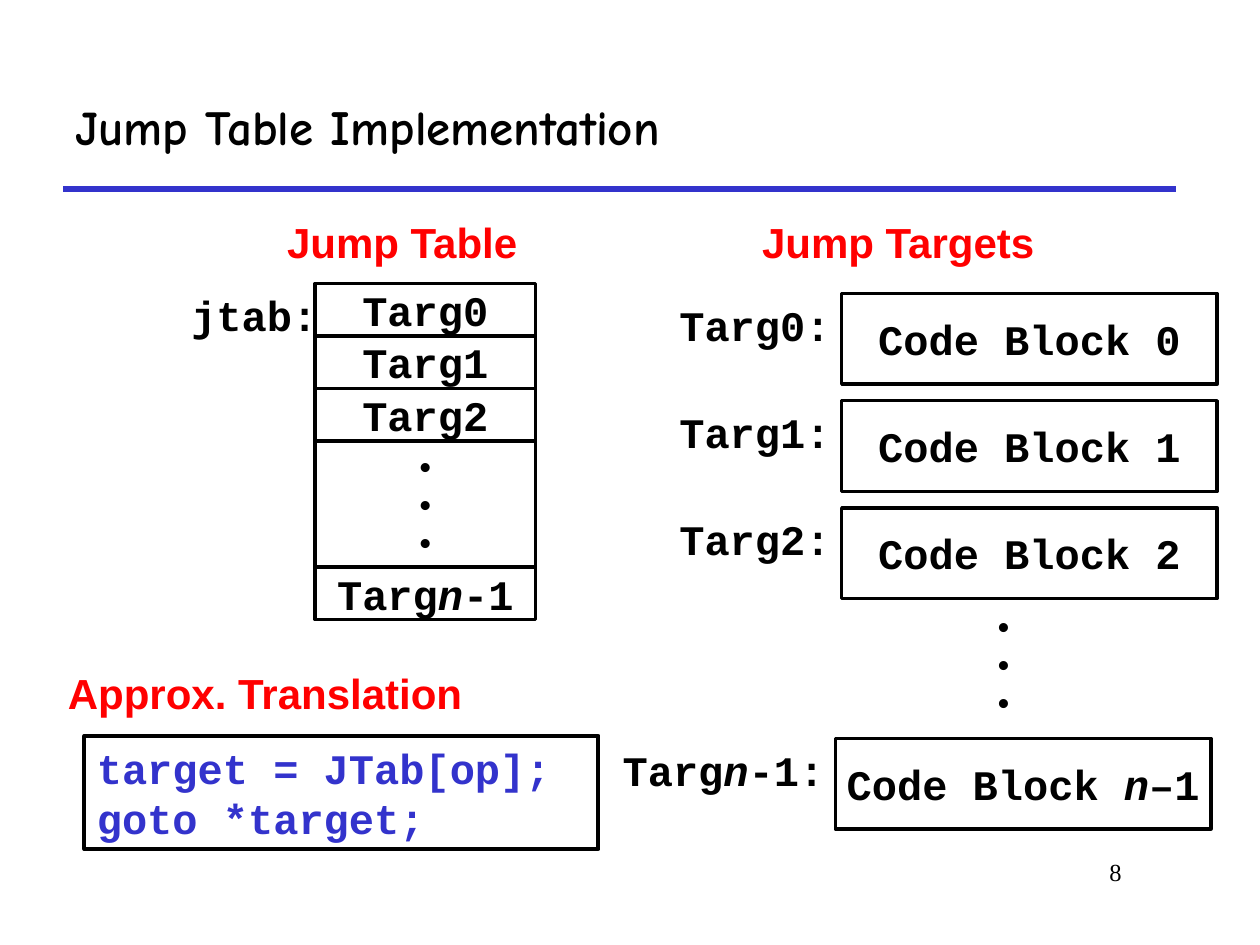
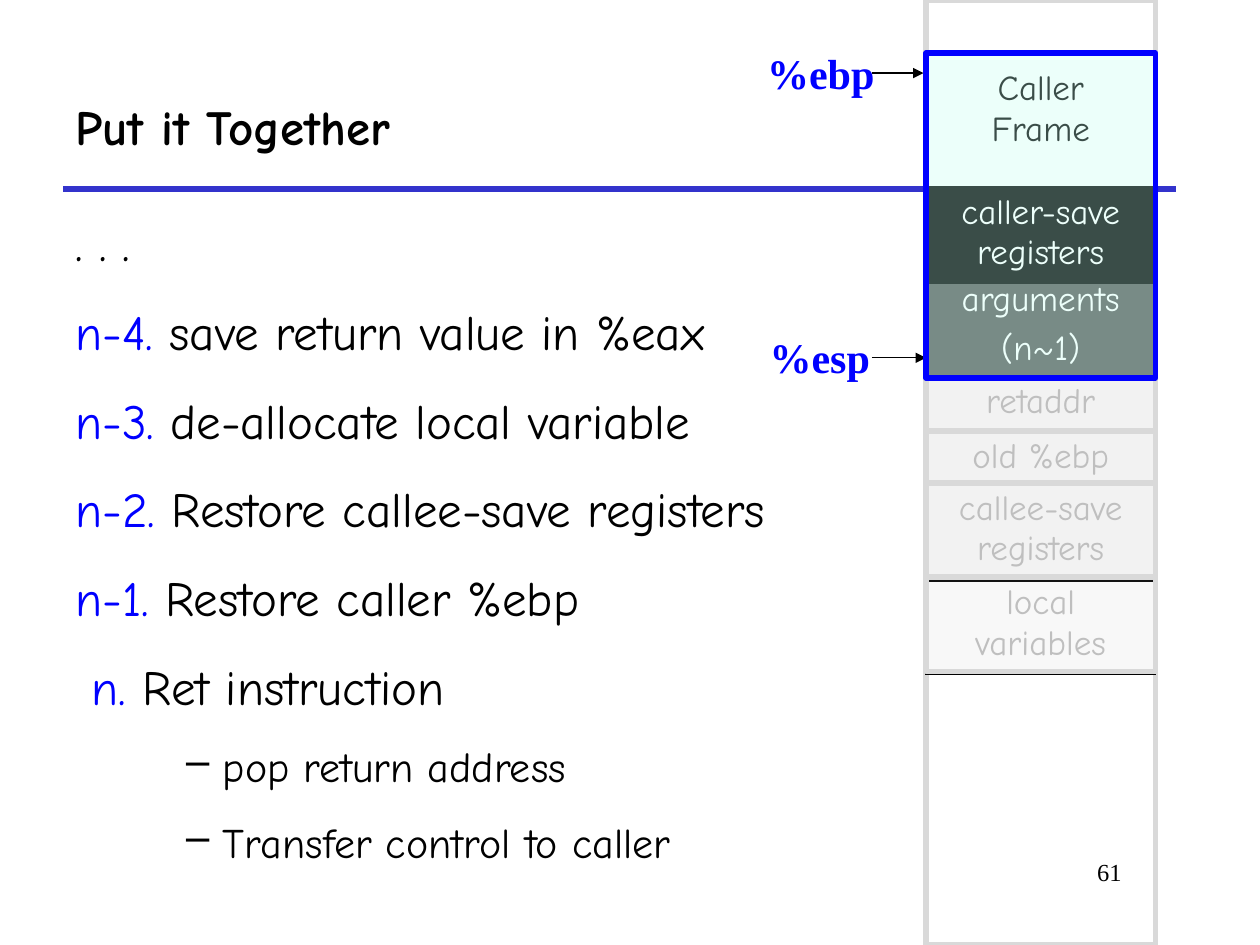
from dataclasses import dataclass, replace
from typing import Optional

import pptx
import pptx.dml.color
import pptx.enum.shapes
import pptx.enum.text
import pptx.oxml.ns
import pptx.util
from lxml import etree

Inches = pptx.util.Inches
Pt = pptx.util.Pt
ALIGN = pptx.enum.text.PP_ALIGN
ANCHOR = pptx.enum.text.MSO_ANCHOR
qn = pptx.oxml.ns.qn

BLACK, WHITE, RED, BLUE, RULE_BLUE = "000000", "FFFFFF", "FF0000", "0000FF", "3333CC"
PALE_LINE, PALE_TEXT, PALE_FILL = "D9D9D9", "BFBFBF", "F2F2F2"


@dataclass(frozen=True)
class Style:
    font: str
    size: float
    color: str = BLACK
    bold: bool = False
    italic: bool = False


@dataclass(frozen=True)
class Box:
    left: float
    top: float
    width: float
    height: float

    def lengths(self) -> tuple:
        return tuple(Inches(v) for v in (self.left, self.top, self.width, self.height))


@dataclass(frozen=True)
class StackCell:
    lines: tuple
    top: float
    height: float
    fill: Optional[str] = PALE_FILL
    color: str = PALE_TEXT
    opacity: int = 100
    margin_top: float = 0.05


TITLE = Style("Comic Neue", 28, bold=True)
STEP = Style("Comic Neue", 28)
SUBSTEP = Style("Comic Neue", 24)
STACK = Style("Comic Neue", 20)
PAGE = Style("Times New Roman", 14)
REGISTER = Style("Times New Roman", 24, BLUE, True)
HEADING = Style("Arial", 24, RED, True)
CODE = Style("Courier New", 24, bold=True)
DOTS = Style("Courier New", 18, bold=True)


def rgb(color: str):
    return pptx.dml.color.RGBColor.from_string(color)


def set_fill(fill, color: Optional[str], opacity: int = 100) -> None:
    if color is None:
        fill.background()
        return
    fill.solid()
    fill.fore_color.rgb = rgb(color)
    if opacity < 100:
        srgb = fill._xPr.find(qn("a:solidFill"))[0]
        etree.SubElement(srgb, qn("a:alpha"), val=str(opacity * 1000))


def add_run(paragraph, text: str, style: Style) -> None:
    """Add styled text, turning each newline into a line break."""
    for index, piece in enumerate(text.split("\n")):
        if index:
            paragraph.add_line_break()
        run = paragraph.add_run()
        run.text = piece
        font = run.font
        font.name, font.size = style.font, Pt(style.size)
        font.bold, font.italic = style.bold, style.italic
        font.color.rgb = rgb(style.color)


def write(frame, lines, style: Style, align=ALIGN.LEFT, space_before: float = 0) -> None:
    """Write one paragraph per line; a line is a string or a tuple of (text, style) runs."""
    for index, line in enumerate(lines):
        paragraph = frame.add_paragraph() if index else frame.paragraphs[0]
        paragraph.alignment = align
        if index and space_before:
            paragraph.space_before = Pt(space_before)
        for text, run_style in ((line, style),) if isinstance(line, str) else line:
            add_run(paragraph, text, run_style)


def add_label(slide, box: Box, lines, style: Style, align=ALIGN.LEFT,
              wrap: bool = False, anchor=ANCHOR.TOP):
    frame = slide.shapes.add_textbox(*box.lengths()).text_frame
    frame.word_wrap = wrap
    frame.vertical_anchor = anchor
    if not wrap:
        frame.auto_size = pptx.enum.text.MSO_AUTO_SIZE.SHAPE_TO_FIT_TEXT
    write(frame, lines, style, align)
    return frame


def add_rect(slide, box: Box, line: Optional[str] = BLACK, width: float = 2,
             fill: Optional[str] = None, opacity: int = 100):
    rect = slide.shapes.add_shape(pptx.enum.shapes.MSO_SHAPE.RECTANGLE, *box.lengths())
    rect.shadow.inherit = False
    set_fill(rect.fill, fill, opacity)
    set_fill(rect.line.fill, line)
    if line:
        rect.line.width = Pt(width)
    return rect


def add_block(slide, box: Box, lines, style: Style = CODE, line: Optional[str] = BLACK) -> None:
    """Draw a white rectangle with its text centred."""
    frame = add_rect(slide, box, line, fill=WHITE).text_frame
    frame.word_wrap = False
    frame.vertical_anchor = ANCHOR.MIDDLE
    write(frame, lines, style, ALIGN.CENTER)


def add_line(slide, start: tuple, end: tuple, color: str, width: float, arrow: bool = False) -> None:
    connector = slide.shapes.add_connector(
        pptx.enum.shapes.MSO_CONNECTOR.STRAIGHT, *(Inches(v) for v in start + end))
    connector.line.color.rgb = rgb(color)
    connector.line.width = Pt(width)
    if arrow:
        etree.SubElement(connector.line._get_or_add_ln(), qn("a:tailEnd"), type="triangle")
    etree.SubElement(connector._element.spPr, qn("a:effectLst"))


def add_stack_cell(slide, part: StackCell) -> None:
    """Draw one part of the stack as a table of a single cell."""
    box = Box(STACK_LEFT, part.top, STACK_WIDTH, part.height)
    table = slide.shapes.add_table(1, 1, *box.lengths()).table
    table.first_row = table.horz_banding = False
    cell = table.cell(0, 0)
    cell.margin_left = cell.margin_right = Inches(0.1)
    cell.margin_top, cell.margin_bottom = Inches(part.margin_top), Inches(0.05)
    properties = cell._tc.get_or_add_tcPr()
    for side in ("a:lnL", "a:lnR", "a:lnT", "a:lnB"):
        border = etree.SubElement(properties, qn(side), w=str(Pt(1.08)))
        solid = etree.SubElement(border, qn("a:solidFill"))
        etree.SubElement(solid, qn("a:srgbClr"), val=BLACK)
    set_fill(cell.fill, part.fill, part.opacity)
    write(cell.text_frame, part.lines, replace(STACK, color=part.color), ALIGN.CENTER, 5)


def add_dash_bullet(paragraph) -> None:
    properties = paragraph._p.get_or_add_pPr()
    properties.set("marL", str(Inches(1.17)))
    properties.set("indent", str(Inches(-0.29)))
    color = etree.SubElement(properties, qn("a:buClr"))
    etree.SubElement(color, qn("a:srgbClr"), val=BLACK)
    etree.SubElement(properties, qn("a:buChar"), char="–")


def start_slide(deck):
    slide = deck.slides.add_slide(deck.slide_layouts[6])
    set_fill(slide.background.fill, WHITE)
    add_line(slide, (0.5, 1.5), (9.33, 1.5), RULE_BLUE, 3)
    return slide


def add_title_and_page(slide, title: str, page: str) -> None:
    add_label(slide, Box(7.58, 6.75, 1.42, 0.5), [page], PAGE, ALIGN.RIGHT, wrap=True)
    add_label(slide, Box(0.5, 0.5, 8.83, 1), [title], TITLE, wrap=True, anchor=ANCHOR.MIDDLE)


def with_n(before: str, after: str) -> tuple:
    """Code text around an italic n."""
    return (before, CODE), ("n", replace(CODE, italic=True)), (after, CODE)


def build_jump_table(deck) -> None:
    slide = start_slide(deck)
    add_title_and_page(slide, "Jump Table Implementation", "8")
    ellipsis = ["•"] * 3

    entry_height = 1.25 / 3
    for index in range(3):
        top = 2.25 + index * entry_height
        add_block(slide, Box(2.5, top, 1.75, entry_height), [f"Targ{index}"])
    add_block(slide, Box(2.5, 4.5, 1.75, entry_height), [with_n("Targ", "-1")])
    add_block(slide, Box(2.5, 3.5, 1.75, 1), ellipsis, DOTS)
    add_label(slide, Box(1.42, 2.25, 1.2, 0.5), ["jtab:"], CODE)

    add_label(slide, Box(2.18, 1.67, 2.05, 0.5), ["Jump Table"], HEADING)
    add_label(slide, Box(0.44, 5.25, 3.35, 0.5), ["Approx. Translation"], HEADING)
    add_label(slide, Box(5.95, 1.67, 2.38, 0.5), ["Jump Targets"], HEADING)

    translation = add_rect(slide, Box(0.67, 5.84, 4.08, 0.9), width=2.25).text_frame
    translation.word_wrap = True
    translation.vertical_anchor = ANCHOR.TOP
    write(translation, ["target = JTab[op];", "goto *target;"], replace(CODE, color=RULE_BLUE))

    for index in range(3):
        top = 2.33 + index * 0.85
        add_block(slide, Box(6.68, top, 2.98, 0.72), [f"Code Block {index}"])
        add_label(slide, Box(5.29, top, 1.4, 0.5), [f"Targ{index}:"], CODE, ALIGN.RIGHT)
    add_block(slide, Box(6.63, 5.86, 2.98, 0.72), [with_n("Code Block ", "–1")])
    add_label(slide, Box(4.84, 5.86, 1.8, 0.5), [with_n("Targ", "-1:")], CODE, ALIGN.RIGHT)
    add_block(slide, Box(6.68, 4.88, 2.57, 0.78), ellipsis, DOTS, line=None)


STACK_LEFT, STACK_WIDTH = 7.35, 1.82
STACK_CELLS = (
    StackCell(("arguments", "(n~1)"), 2.17, 0.84, "595959", WHITE),
    StackCell(("caller-save registers",), 1.48, 0.77, BLACK, WHITE),
    StackCell(("old %ebp",), 3.42, 0.43),
    StackCell(("retaddr",), 2.98, 0.43),
    StackCell(("Caller\nFrame",), 0.42, 3, None, BLACK, margin_top=0.13),
    StackCell(("callee-save registers",), 3.83, 0.78),
    StackCell(("local variables",), 4.58, 0.75, PALE_TEXT, opacity=10),
)
STEPS = (
    ("n-4. ", "save return value in %eax"),
    ("n-3. ", "de-allocate local variable"),
    ("n-2. ", "Restore callee-save registers"),
    ("n-1. ", "Restore caller %ebp"),
    (" n. ", "Ret instruction"),
)
RET_ACTIONS = ("pop return address", "Transfer control to caller")


def outline_stack(slide, top: float, height: float) -> None:
    add_rect(slide, Box(STACK_LEFT, top, STACK_WIDTH, height), PALE_LINE, 3)


def build_put_together(deck) -> None:
    slide = start_slide(deck)
    outline_stack(slide, 0, 7.5)
    add_title_and_page(slide, "Put it Together", "61")

    numbered = [((number, replace(STEP, color=BLUE)), (text, STEP)) for number, text in STEPS]
    actions = [((text, SUBSTEP),) for text in RET_ACTIONS]
    body = add_label(slide, Box(0.5, 1.5, 9.5, 5.58), [". . .", *numbered, *actions],
                     STEP, wrap=True)
    first_action = len(body.paragraphs) - len(actions)
    for index, paragraph in enumerate(body.paragraphs):
        paragraph.line_spacing = 1.3
        if index:
            paragraph.space_before = Pt(7 if index < first_action else 6)
        if index >= first_action:
            paragraph.level = 1
            add_dash_bullet(paragraph)

    for part in STACK_CELLS:
        add_stack_cell(slide, part)
    for top in (4.58, 3.83):
        outline_stack(slide, top, 0.75)
    for register, label_box, arrow_y, tip in (
            ("%ebp", Box(5.99, 0.33, 1.08, 0.5), 0.58, 7.33),
            ("%esp", Box(6.01, 2.58, 1.02, 0.5), 2.84, 7.35)):
        add_label(slide, label_box, [register], REGISTER)
        add_line(slide, (6.92, arrow_y), (tip, arrow_y), BLACK, 0.75, arrow=True)
    for top in (3.42, 3):
        outline_stack(slide, top, 0.42)
    add_rect(slide, Box(STACK_LEFT, 0.42, STACK_WIDTH, 2.58), BLUE, 3, "C2FFF0", 30)


def main() -> None:
    deck = pptx.Presentation()
    deck.slide_width, deck.slide_height = Inches(10), Inches(7.5)
    build_jump_table(deck)
    build_put_together(deck)
    deck.save("out.pptx")


if __name__ == "__main__":
    main()
